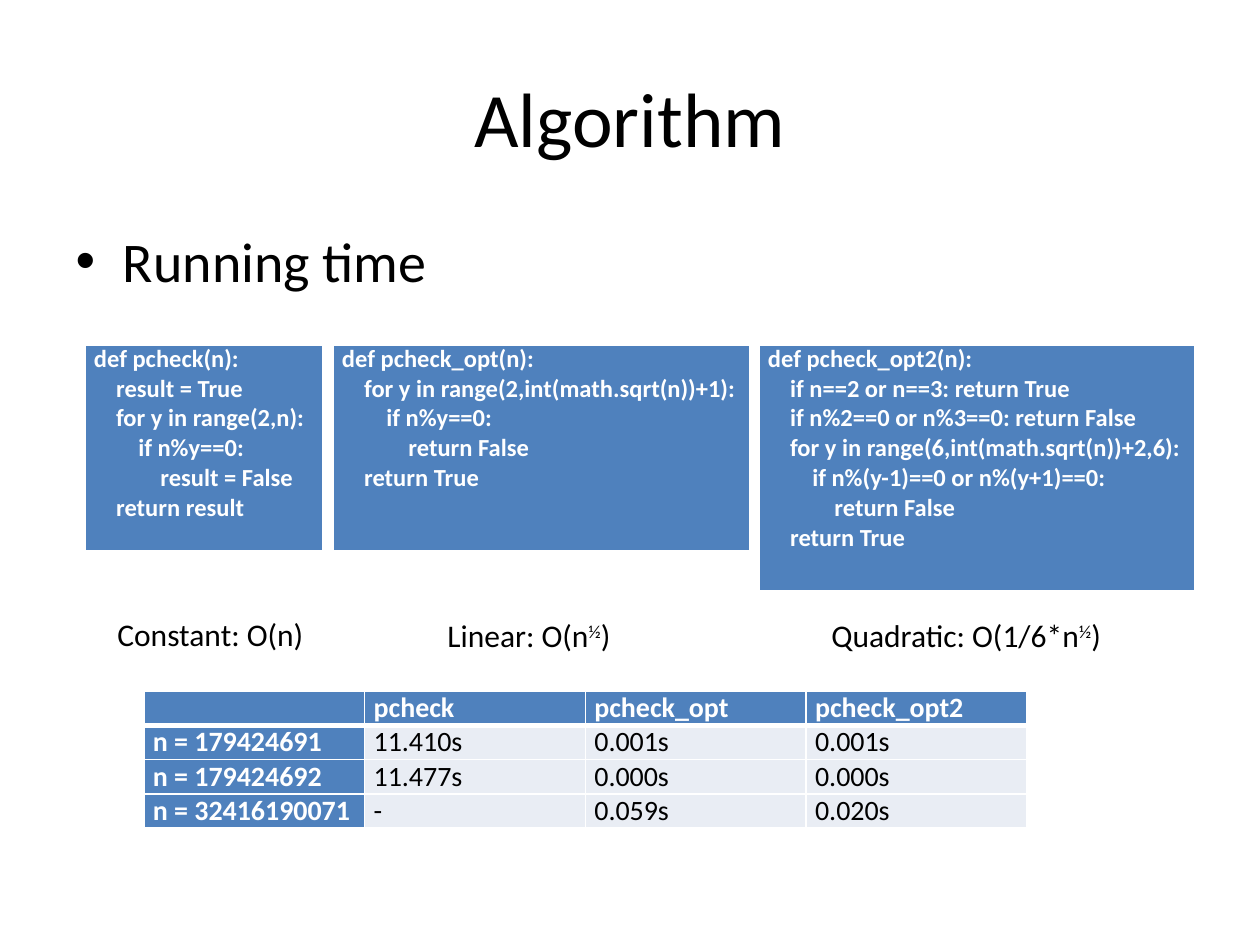
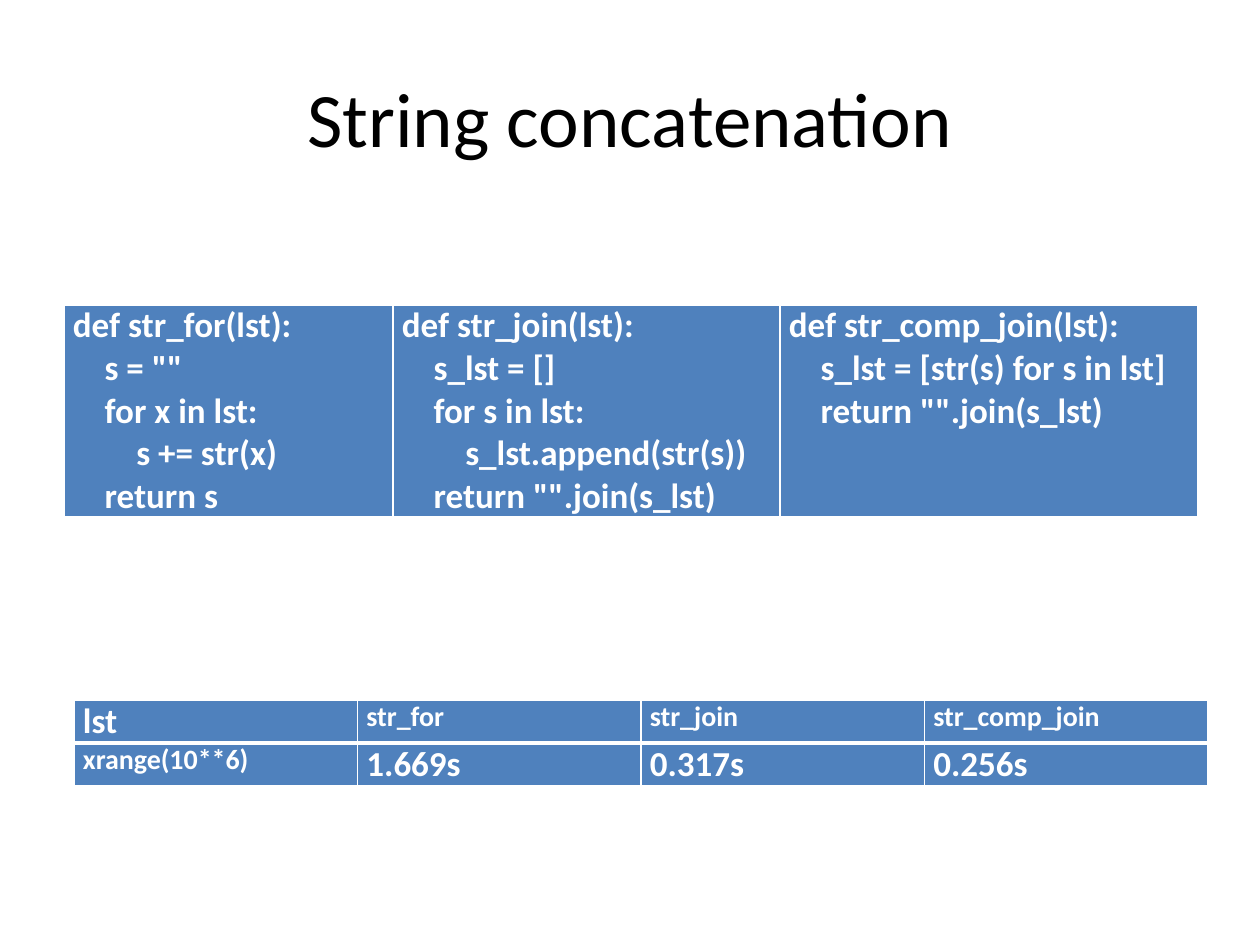
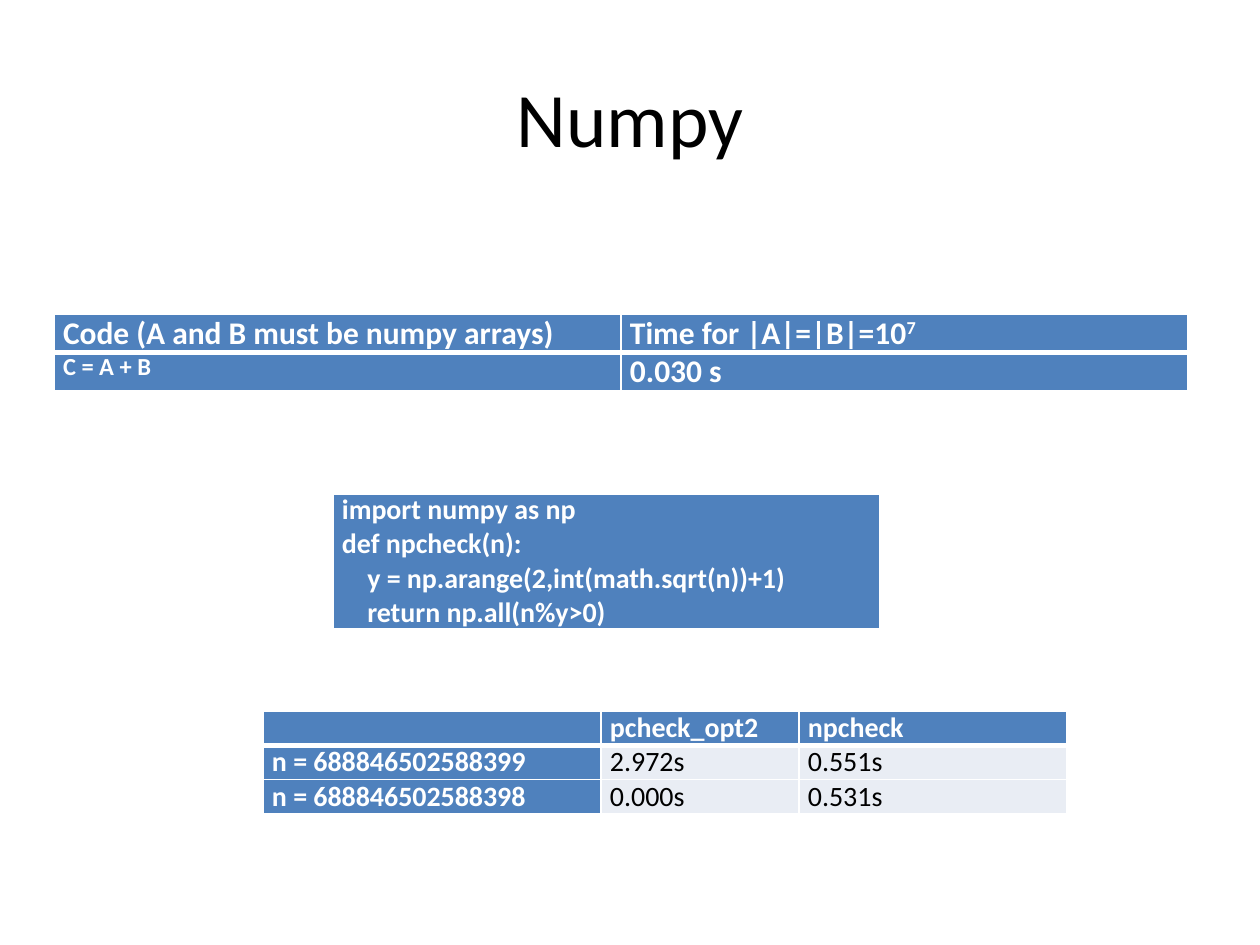
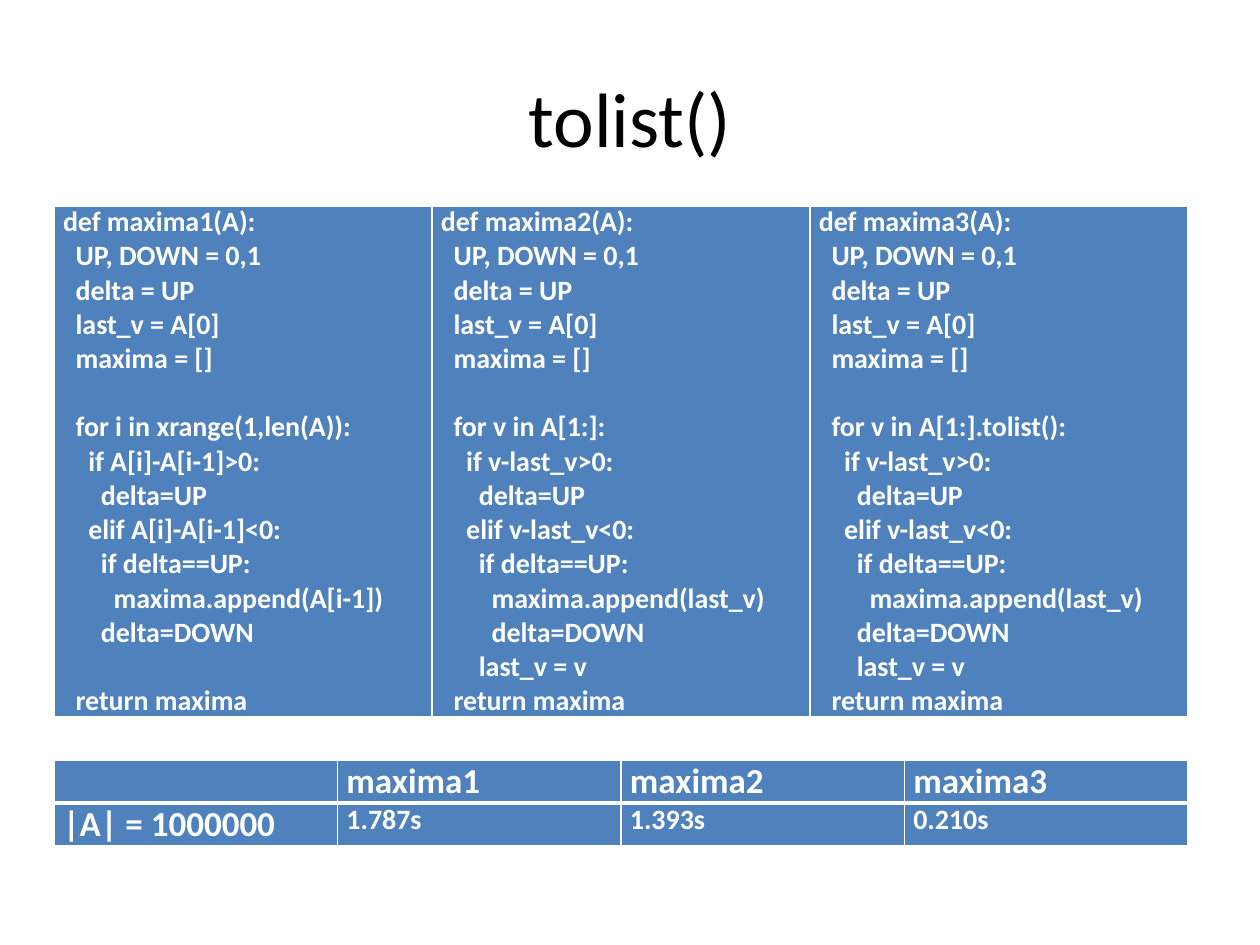
from pptx import Presentation
from pptx.dml.color import RGBColor
from pptx.enum.text import MSO_ANCHOR, MSO_AUTO_SIZE, PP_ALIGN
from pptx.oxml import parse_xml
from pptx.oxml.ns import nsdecls
from pptx.oxml.xmlchemy import OxmlElement
from pptx.util import Emu, Pt

# Shared look
PIXEL = 914400 // 126
FONT = "Calibri"
BLACK = RGBColor(0x00, 0x00, 0x00)
WHITE = RGBColor(0xFF, 0xFF, 0xFF)
BLUE = RGBColor(0x4F, 0x81, 0xBD)
PALE = RGBColor(0xE9, 0xED, 0xF4)
SPACE_WIDTH = 0.226  # width of one space, in ems
LINE_HEIGHT = 1.22   # height of one line, in ems
TITLE_ONLY, TITLE_AND_BODY = 5, 1

# Code shown on the slides
PCHECK = """def pcheck(n):
    result = True
    for y in range(2,n):
        if n%y==0:
            result = False
    return result"""
PCHECK_OPT = """def pcheck_opt(n):
    for y in range(2,int(math.sqrt(n))+1):
        if n%y==0:
            return False
    return True"""
PCHECK_OPT2 = """def pcheck_opt2(n):
    if n==2 or n==3: return True
    if n%2==0 or n%3==0: return False
    for y in range(6,int(math.sqrt(n))+2,6):
        if n%(y-1)==0 or n%(y+1)==0:
            return False
    return True"""
STR_FOR = """def str_for(lst):
    s = ""
    for x in lst:
        s += str(x)
    return s"""
STR_JOIN = """def str_join(lst):
    s_lst = []
    for s in lst:
        s_lst.append(str(s))
    return "".join(s_lst)"""
STR_COMP_JOIN = """def str_comp_join(lst):
    s_lst = [str(s) for s in lst]
    return "".join(s_lst)"""
NPCHECK = """import numpy as np
def npcheck(n):
    y = np.arange(2,int(math.sqrt(n))+1)
    return np.all(n%y>0)"""
MAXIMA = """def maxima{number}(A):
  UP, DOWN = 0,1
  delta = UP
  last_v = A[0]
  maxima = []

  for {loop}:
    if {step}>0:
      delta=UP
    elif {step}<0:
      if delta==UP:
        maxima.append({peak})
{ending}
  return maxima"""


def px(length):
    return Emu(round(length * PIXEL))


def place(shape, left, top, width, height):
    shape.left, shape.top = px(left), px(top)
    shape.width, shape.height = px(width), px(height)


def write(frame, text, size=18, color=BLACK, bold=False, align=PP_ALIGN.LEFT):
    """Write lines; leading spaces become indents, ^x^ becomes superscript."""
    blank_lines = 0
    paragraph = frame.paragraphs[0]
    for number, line in enumerate(text.split("\n")):
        words = line.lstrip()
        if number and not words:
            blank_lines += 1
            continue
        if number:
            paragraph = frame.add_paragraph()
        paragraph.alignment = align
        indent = len(line) - len(words)
        if indent:
            margin = Pt(indent * SPACE_WIDTH * size)
            paragraph._p.get_or_add_pPr().set("marL", str(margin))
        if blank_lines:
            paragraph.space_before = Pt(round(blank_lines * LINE_HEIGHT * size, 1))
            blank_lines = 0
        for part_number, part in enumerate(words.split("^")):
            if not part:
                continue
            run = paragraph.add_run()
            run.text = part
            run.font.name, run.font.size = FONT, Pt(size)
            run.font.bold, run.font.color.rgb = bold, color
            if part_number % 2:
                run._r.get_or_add_rPr().set("baseline", "30000")
        if not words:
            # An empty cell keeps the row as low as its text size allows
            end = OxmlElement("a:endParaRPr")
            end.set("sz", str(size * 100))
            paragraph._p.append(end)


def add_slide(deck, title, layout=TITLE_ONLY):
    slide = deck.slides.add_slide(deck.slide_layouts[layout])
    heading = slide.shapes.title
    place(heading, 63, 38, 1134, 157)
    heading.text_frame.vertical_anchor = MSO_ANCHOR.MIDDLE
    write(heading.text_frame, title, size=44, align=PP_ALIGN.CENTER)
    return slide


def add_label(slide, text, left, top, width):
    label = slide.shapes.add_textbox(px(left), px(top), px(width), px(50))
    label.text_frame.word_wrap = False
    label.text_frame.auto_size = MSO_AUTO_SIZE.SHAPE_TO_FIT_TEXT
    write(label.text_frame, text)


def style_cell(cell, fill, top_line, bottom_line):
    cell.margin_left = cell.margin_right = px(9)
    cell.margin_top = cell.margin_bottom = 0
    properties = cell._tc.get_or_add_tcPr()
    for side, points in zip("LRTB", (1, 1, top_line, bottom_line)):
        properties.append(parse_xml(
            f'<a:ln{side} {nsdecls("a")} w="{Pt(points)}"><a:solidFill>'
            f'<a:srgbClr val="{WHITE}"/></a:solidFill></a:ln{side}>'))
    cell.fill.solid()
    cell.fill.fore_color.rgb = fill


def add_grid(slide, left, top, widths, row_height, rows):
    """Add a table without style banding and return it."""
    table = slide.shapes.add_table(
        rows, len(widths), px(left), px(top),
        px(sum(widths)), px(row_height * rows)).table
    table.first_row = table.horz_banding = False
    for column, width in zip(table.columns, widths):
        column.width = px(width)
    for row in table.rows:
        row.height = px(row_height)
    return table


def add_code(slide, left, top, widths, height, listings, size):
    table = add_grid(slide, left, top, widths, height, 1)
    for column, listing in enumerate(listings):
        cell = table.cell(0, column)
        style_cell(cell, BLUE, 3, 3)
        write(cell.text_frame, listing, size=size, color=WHITE, bold=True)


def add_timings(slide, left, top, widths, row_height, rows, sizes, pale=False):
    """Add a header row and timing rows; sizes holds one list per row."""
    table = add_grid(slide, left, top, widths, row_height, len(rows))
    for r, (texts, row_sizes) in enumerate(zip(rows, sizes)):
        for c, (text, size) in enumerate(zip(texts, row_sizes)):
            plain = pale and r > 0 and c > 0
            cell = table.cell(r, c)
            style_cell(cell, PALE if plain else BLUE,
                       3 if r == 1 else 1, 3 if r == 0 else 1)
            write(cell.text_frame, text, size=size,
                  color=BLACK if plain else WHITE, bold=not plain)


def even(total, count):
    return [total / count] * count


def algorithm_slide(deck):
    slide = add_slide(deck, "Algorithm", TITLE_AND_BODY)
    topic = slide.placeholders[1]
    place(topic, 63, 220, 1134, 624)
    write(topic.text_frame, "Running time", size=32)
    for left, width, height, listing in (
            (85, 238, 208, PCHECK),
            (333, 417, 208, PCHECK_OPT),
            (759, 436, 248, PCHECK_OPT2)):
        add_code(slide, left, 344, [width], height, [listing], 14)
    add_timings(slide, 144, 691, even(883, 4), 34, [
        ["", "pcheck", "pcheck_opt", "pcheck_opt2"],
        ["n = 179424691", "11.410s", "0.001s", "0.001s"],
        ["n = 179424692", "11.477s", "0.000s", "0.000s"],
        ["n = 32416190071", "-", "0.059s", "0.020s"],
    ], [[16] * 4] * 4, pale=True)
    add_label(slide, "Linear: O(n^½^)", 435, 610, 193)
    add_label(slide, "Constant: O(n)", 105, 609, 214)
    add_label(slide, "Quadratic: O(1/6*n^½^)", 819, 610, 310)


def concatenation_slide(deck):
    slide = add_slide(deck, "String concatenation")
    add_code(slide, 64, 304, [329, 387, 418], 210,
             [STR_FOR, STR_JOIN, STR_COMP_JOIN], 20)
    add_timings(slide, 74, 700, even(1134, 4), 42, [
        ["lst", "str_for", "str_join", "str_comp_join"],
        ["xrange(10**6)", "1.669s", "0.317s", "0.256s"],
    ], [[20, 16, 16, 16], [16, 20, 20, 20]])


def numpy_slide(deck):
    slide = add_slide(deck, "Numpy")
    add_timings(slide, 54, 314, even(1134, 2), 38, [
        ["Code (A and B must be numpy arrays)", "Time for |A|=|B|=10^7^"],
        ["C = A + B", "0.030 s"],
    ], [[18, 18], [14, 18]])
    add_code(slide, 333, 493, [547], 135, [NPCHECK], 16)
    add_timings(slide, 263, 711, [338, 198, 268], 34, [
        ["", "pcheck_opt2", "npcheck"],
        ["n = 688846502588399", "2.972s", "0.551s"],
        ["n = 688846502588398", "0.000s", "0.531s"],
    ], [[16] * 3] * 3, pale=True)


def tolist_slide(deck):
    slide = add_slide(deck, "tolist()")
    by_index = MAXIMA.format(
        number=1, loop="i in xrange(1,len(A))", step="A[i]-A[i-1]",
        peak="A[i-1]", ending="      delta=DOWN\n")
    by_value = MAXIMA.format(
        number=2, loop="v in A[1:]", step="v-last_v", peak="last_v",
        ending="        delta=DOWN\n      last_v = v")
    by_list = MAXIMA.format(
        number=3, loop="v in A[1:].tolist()", step="v-last_v", peak="last_v",
        ending="      delta=DOWN\n      last_v = v")
    add_code(slide, 54, 205, even(1134, 3), 504,
             [by_index, by_value, by_list], 16)
    add_timings(slide, 54, 760, even(1134, 4), 42, [
        ["", "maxima1", "maxima2", "maxima3"],
        ["|A| = 1000000", "1.787s", "1.393s", "0.210s"],
    ], [[20] * 4, [20, 16, 16, 16]])


def main():
    deck = Presentation()
    deck.slide_width, deck.slide_height = px(1260), px(945)
    algorithm_slide(deck)
    concatenation_slide(deck)
    numpy_slide(deck)
    tolist_slide(deck)
    deck.save("out.pptx")


main()
